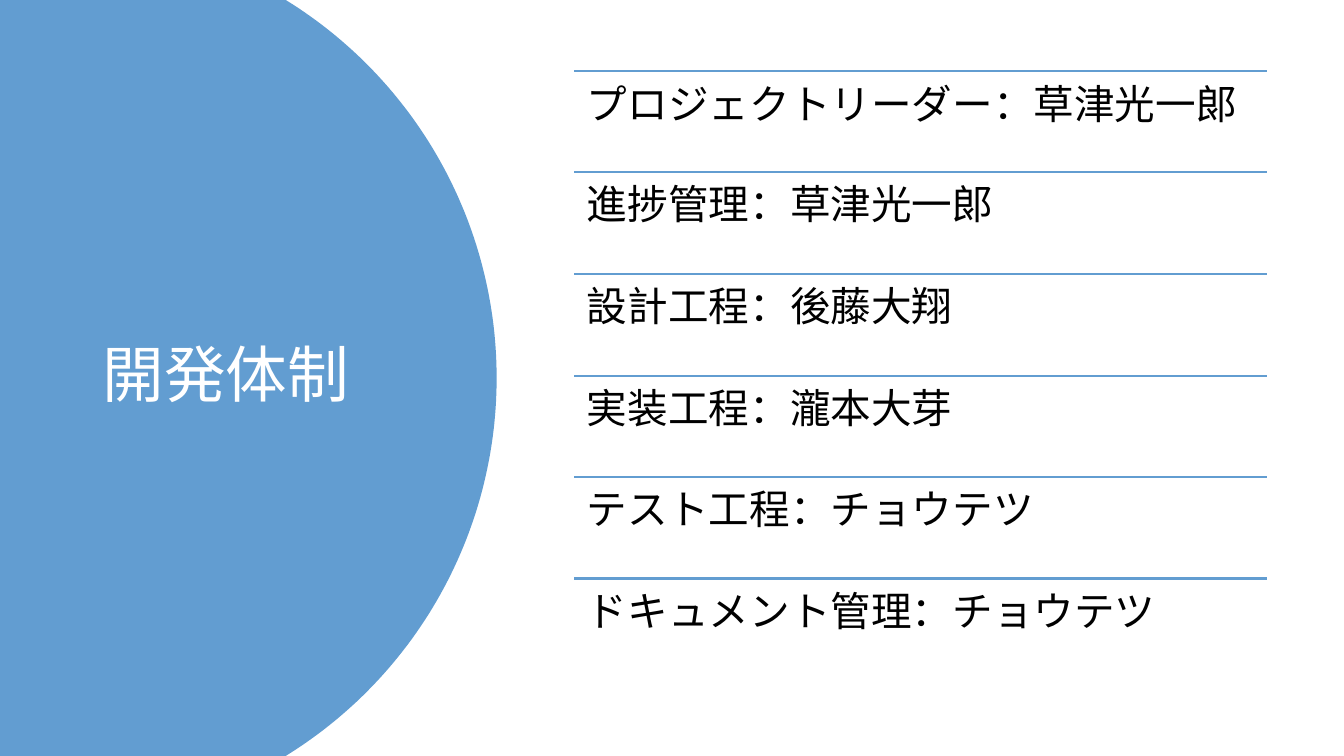
from math import asin, cos, sin

from lxml import etree
from pptx import Presentation
from pptx.dml.color import RGBColor
from pptx.enum.shapes import MSO_CONNECTOR
from pptx.enum.text import MSO_ANCHOR, MSO_AUTO_SIZE, PP_ALIGN
from pptx.oxml.ns import qn
from pptx.util import Pt

EMU_PER_PX = 9525
SLIDE_WIDTH, SLIDE_HEIGHT = 1280, 720
TITLE_ONLY = 5
STRAIGHT = MSO_CONNECTOR.STRAIGHT
LEFT = PP_ALIGN.LEFT
TOP, MIDDLE = MSO_ANCHOR.TOP, MSO_ANCHOR.MIDDLE
NO_AUTOFIT = MSO_AUTO_SIZE.NONE

FONT = "Noto Sans CJK JP"
COLORS = {"accent": "629DD1", "title": "FFFFFF", "body": "000000"}


def px(length):
    return round(length * EMU_PER_PX)


def color(name):
    return RGBColor.from_string(COLORS[name])


class SlideBuilder:
    """Holds the style and the current slide."""

    def __init__(self, slide):
        self.slide = slide

    def set_text(self, shape, text, size, color_name, anchor):
        frame = shape.text_frame
        frame.word_wrap = True
        frame.auto_size = NO_AUTOFIT
        frame.vertical_anchor = anchor
        paragraph = frame.paragraphs[0]
        paragraph.text = text
        paragraph.alignment = LEFT
        paragraph.line_spacing = 0.9
        font = paragraph.font
        font.size = Pt(size)
        font.color.rgb = color(color_name)
        font.name = FONT
        # East Asian glyphs need their own typeface entry
        properties = paragraph._p.pPr.find(qn("a:defRPr"))
        etree.SubElement(properties, qn("a:ea"), typeface=FONT)

    def title(self, text, left, top, width, height):
        shape = self.slide.shapes.title
        shape.left, shape.top = px(left), px(top)
        shape.width, shape.height = px(width), px(height)
        self.set_text(shape, text, 44, "title", MIDDLE)

    def text(self, text, left, top, width, height, inset):
        shape = self.slide.shapes.add_textbox(px(left), px(top), px(width), px(height))
        frame = shape.text_frame
        frame.margin_left = frame.margin_right = px(inset)
        frame.margin_top = frame.margin_bottom = px(inset)
        self.set_text(shape, text, 29, "body", TOP)

    def rule(self, left, top, width):
        line = self.slide.shapes.add_connector(
            STRAIGHT, px(left), px(top), px(left + width), px(top))
        line.line.color.rgb = color("accent")
        line.line.width = Pt(1.5)
        etree.SubElement(line._element.spPr, qn("a:effectLst"))

    def round_panel(self, center_x, radius, steps):
        """Fill the slide from its left edge to a circular arc."""
        middle = SLIDE_HEIGHT / 2
        reach = asin(middle / radius)
        angles = [reach * (2 * step / steps - 1) for step in range(steps + 1)]
        arc = [(px(center_x + radius * cos(angle)), px(middle + radius * sin(angle)))
               for angle in angles]
        builder = self.slide.shapes.build_freeform(0, 0)
        builder.add_line_segments(arc + [(0, px(SLIDE_HEIGHT))], close=True)
        panel = builder.convert_to_shape()
        panel.shadow.inherit = False
        panel.fill.solid()
        panel.fill.fore_color.rgb = color("accent")
        panel.line.fill.background()
        # Send the panel behind the title
        self.slide.shapes._spTree.insert(2, panel._element)


def main():
    presentation = Presentation()
    presentation.slide_width = px(SLIDE_WIDTH)
    presentation.slide_height = px(SLIDE_HEIGHT)
    layout = presentation.slide_layouts[TITLE_ONLY]
    builder = SlideBuilder(presentation.slides.add_slide(layout))

    # Title on the round panel
    builder.round_panel(center_x=50, radius=423, steps=120)
    builder.title("開発体制", 88, 67, 310, 585)

    # Roles, each under a rule
    roles = [
        ("プロジェクトリーダー", "草津光一郎"),
        ("進捗管理", "草津光一郎"),
        ("設計工程", "後藤大翔"),
        ("実装工程", "瀧本大芽"),
        ("テスト工程", "チョウテツ"),
        ("ドキュメント管理", "チョウテツ"),
    ]
    left, top, width, height = 547, 68, 660, 580
    for index, (role, person) in enumerate(roles):
        row_top = top + index * height // len(roles)
        builder.rule(left, row_top, width)
        builder.text(f"{role}：{person}", left, row_top, width,
                     height // len(roles), inset=12)

    presentation.save("out.pptx")


if __name__ == "__main__":
    main()
